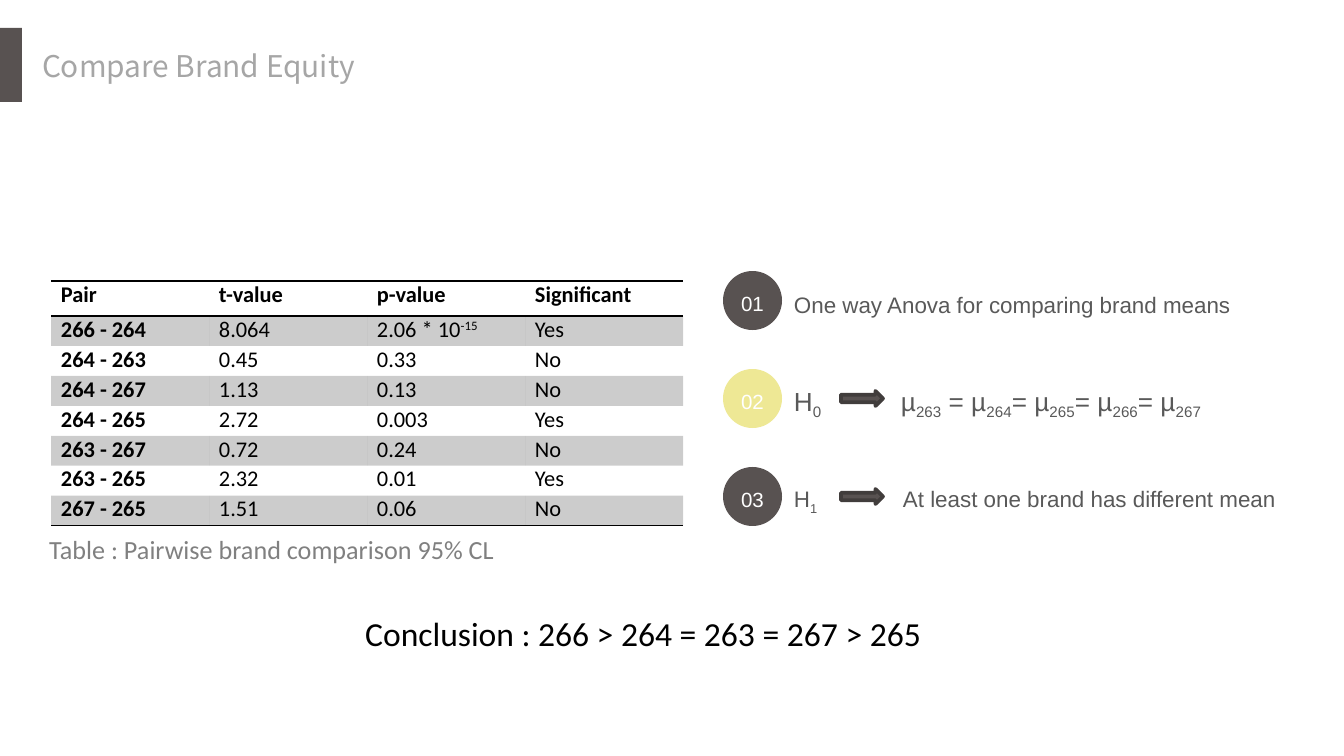
from lxml import etree
from pptx import Presentation
from pptx.dml.color import RGBColor
from pptx.enum.shapes import MSO_SHAPE
from pptx.enum.text import MSO_ANCHOR, MSO_AUTO_SIZE, PP_ALIGN
from pptx.oxml.ns import qn
from pptx.util import Emu, Pt

RECTANGLE, OVAL, ARROW = MSO_SHAPE.RECTANGLE, MSO_SHAPE.OVAL, MSO_SHAPE.RIGHT_ARROW
TOP, MIDDLE = MSO_ANCHOR.TOP, MSO_ANCHOR.MIDDLE
LEFT, CENTER = PP_ALIGN.LEFT, PP_ALIGN.CENTER
NO_FIT = MSO_AUTO_SIZE.NONE

PX_PER_INCH = 134.4
COLORS = {
    "brown": "585251", "outline": "413D3C", "yellow": "EEE895", "title": "A6A6A6",
    "body": "595959", "caption": "808080", "black": "000000", "white": "FFFFFF",
}
PLAIN_TABLE = "{2D5ABB26-0587-4C30-8999-92F81FD0307C}"
ROWS = [
    ["Pair", "t-value", "p-value", "Significant"],
    ["266 - 264", "8.064", "2.06 * 10_-15_", "Yes"],
    ["264 - 263", "0.45", "0.33", "No"],
    ["264 - 267", "1.13", "0.13", "No"],
    ["264 - 265", "2.72", "0.003", "Yes"],
    ["263 - 267", "0.72", "0.24", "No"],
    ["263 - 265", "2.32", "0.01", "Yes"],
    ["267 - 265", "1.51", "0.06", "No"],
]
STEPS = [
    ("brown", "One way Anova for comparing brand means", 12, 15, None),
    ("yellow", "H_0_\tµ_263_ = µ_264_= µ_265_= µ_266_= µ_267_", 14, 9, 107),
    ("brown", "H_1_\tAt least one brand has different mean", 12, 12, 109),
]


def px(length):
    return Emu(round(length * 914400 / PX_PER_INCH))


def color(name):
    return RGBColor.from_string(COLORS[name])


def write(para, text, font, size, shade, bold=False, shift=-25):
    for index, part in enumerate(text.split("_")):
        if part:
            span = para.add_run()
            span.text = part
            if index % 2:
                span._r.get_or_add_rPr().set("baseline", str(shift * 1000))
    para.font.name = font
    para.font.size = Pt(size)
    para.font.bold = bold
    para.font.color.rgb = color(shade)


def set_insets(frame, side, end):
    frame.margin_left = frame.margin_right = px(side)
    frame.margin_top = frame.margin_bottom = px(end)


def add_label(page, box, text, font, size, shade):
    label = page.shapes.add_textbox(*map(px, box))
    label.text_frame.word_wrap = True
    write(label.text_frame.paragraphs[0], text, font, size, shade)
    return label


def add_solid(page, kind, box, shade, outline=None):
    solid = page.shapes.add_shape(kind, *map(px, box))
    solid.shadow.inherit = False
    solid.fill.solid()
    solid.fill.fore_color.rgb = color(shade)
    if outline:
        solid.line.color.rgb = color(outline)
        solid.line.width = Pt(2)
    else:
        solid.line.fill.background()
    return solid


def add_header(page, left, top):
    add_solid(page, RECTANGLE, (left, top, 22, 74), "brown")
    title = page.shapes.title
    title.left, title.top, title.width, title.height = map(px, (left + 32, top + 15, 344, 47))
    frame = title.text_frame
    frame.auto_size = NO_FIT
    frame.word_wrap = True
    frame.vertical_anchor = TOP
    set_insets(frame, 10, 5)
    para = frame.paragraphs[0]
    para.alignment = LEFT
    write(para, "Compare Brand Equity", "Noto Sans CJK SC", 16, "title")


def add_border(cell, side):
    line = etree.SubElement(cell._tc.get_or_add_tcPr(), qn(f"a:{side}"), w=str(Pt(1)))
    fill = etree.SubElement(line, qn("a:solidFill"))
    etree.SubElement(fill, qn("a:srgbClr"), val=COLORS["black"])


def fill_cell(cell, shaded):
    if not shaded:
        cell.fill.background()
        return
    cell.fill.solid()
    cell.fill.fore_color.rgb = color("black")
    shade = cell._tc.tcPr.find(f".//{qn('a:solidFill')}[last()]/{qn('a:srgbClr')}")
    for fill in cell._tc.tcPr.findall(qn("a:solidFill")):
        shade = fill.find(qn("a:srgbClr"))
    etree.SubElement(shade, qn("a:alpha"), val="20000")


def add_pair_table(page, left, top, width):
    header, height = 35, 30
    last = len(ROWS) - 1
    box = (left, top, width, header + height * last)
    table = page.shapes.add_table(len(ROWS), len(ROWS[0]), *map(px, box)).table
    table._tbl.tblPr.find(qn("a:tableStyleId")).text = PLAIN_TABLE
    table.first_row = table.horz_banding = False
    for column in table.columns:
        column.width = px(width / len(ROWS[0]))
    for r, values in enumerate(ROWS):
        table.rows[r].height = px(header if r == 0 else height)
        for c, value in enumerate(values):
            cell = table.cell(r, c)
            set_insets(cell, 10, 0)
            write(cell.text_frame.paragraphs[0], value, "Calibri", 12, "black",
                  bold=r == 0 or c == 0, shift=30)
            if r == 0:
                add_border(cell, "lnT")
            if r in (0, last):
                add_border(cell, "lnB")
            fill_cell(cell, r % 2 == 1)
    add_label(page, (left - 15, top + 246, 476, 46),
              "Table : Pairwise brand comparison 95% CL", "Calibri", 14, "caption")


def add_step(page, left, top, number, shade, text, size, drop, tab):
    circle = add_solid(page, OVAL, (left, top, 59, 59), shade)
    frame = circle.text_frame
    set_insets(frame, 0, 0)
    frame.vertical_anchor = MIDDLE
    para = frame.paragraphs[0]
    para.alignment = CENTER
    para.line_spacing = 1.2
    write(para, f"{number:02}", "Arial", 11, "white")

    label = page.shapes.add_textbox(*map(px, (left + 71, top + drop, 521, 34)))
    frame = label.text_frame
    frame.word_wrap = True
    set_insets(frame, 0, 0)
    para = frame.paragraphs[0]
    para.line_spacing = 1.2
    if tab:
        stops = etree.SubElement(para._p.get_or_add_pPr(), qn("a:tabLst"))
        etree.SubElement(stops, qn("a:tab"), pos=str(px(tab)), algn="l")
        add_solid(page, ARROW, (left + 118, top + 22, 42, 15), "brown", "outline")
    write(para, text, "Arial", size, "body")


def add_steps(page, left, top, pitch):
    for index, step in enumerate(STEPS):
        add_step(page, left, top + index * pitch, index + 1, *step)


def main():
    deck = Presentation()
    deck.slide_width, deck.slide_height = px(1344), px(756)
    page = deck.slides.add_slide(deck.slide_layouts[5])
    add_header(page, 0, 28)
    add_pair_table(page, 51, 281, 632)
    add_steps(page, 723, 271, 98)
    add_label(page, (352, 606, 598, 54),
              "Conclusion : 266 > 264 = 263 = 267 > 265", "Calibri", 18, "black")
    deck.save("out.pptx")


if __name__ == "__main__":
    main()
